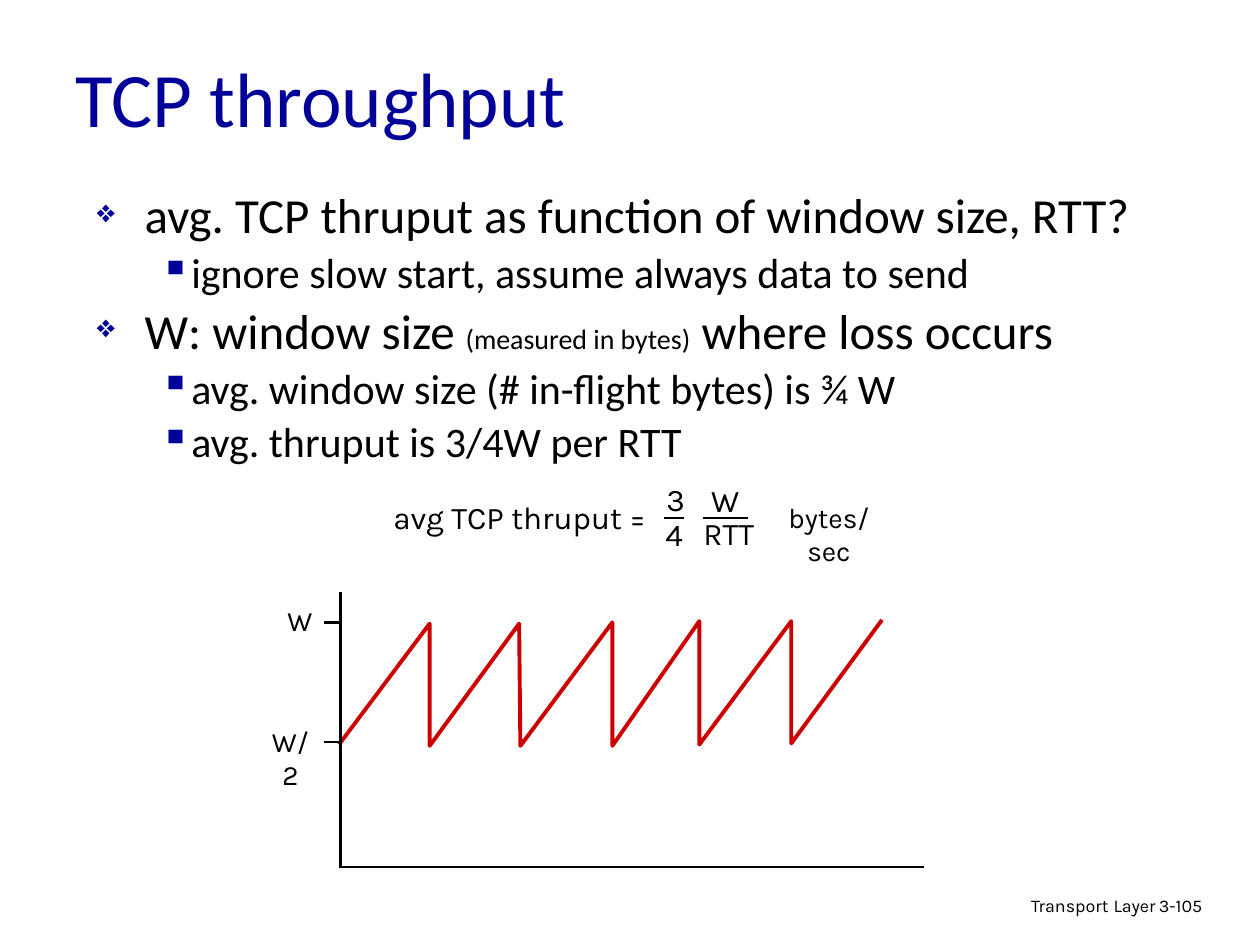
from lxml.etree import SubElement
from pptx import Presentation
from pptx.dml.color import RGBColor
from pptx.enum.shapes import MSO_CONNECTOR
from pptx.enum.text import MSO_ANCHOR, PP_ALIGN
from pptx.oxml.ns import qn
from pptx.util import Inches, Pt

COLORS = {"text": "000000", "accent": "000099", "curve": "CC0000"}


def add_text(left, top, width, height, runs, font="Karla", color="text",
             align=PP_ALIGN.CENTER, wrap=False):
    """Add a text box holding one paragraph of (text, size) runs."""
    box = page.shapes.add_textbox(Inches(left), Inches(top), Inches(width), Inches(height))
    box.text_frame.word_wrap = wrap
    para = box.text_frame.paragraphs[0]
    para.alignment = align
    add_runs(para, runs, font, color)
    return box


def add_runs(para, runs, font, color):
    for text, size in runs:
        span = para.add_run()
        span.text = text
        span.font.name = font
        span.font.size = Pt(size)
        span.font.color.rgb = RGBColor.from_string(COLORS[color])


deck = Presentation()
deck.slide_width, deck.slide_height = Inches(10), Inches(7.5)
page = deck.slides.add_slide(deck.slide_layouts[6])

# Footer and page number
footer = add_text(6.1, 7.05, 3.17, 0.31, [("Transport", 10.2), (" ", 11.9), ("Layer", 10.2)],
                  align=PP_ALIGN.RIGHT, wrap=True)
number = add_text(9.1, 7.07, 0.74, 0.3, [("3-105", 10.2)], align=PP_ALIGN.LEFT, wrap=True)
for box in (footer, number):
    box.text_frame.paragraphs[0].line_spacing = 0.9

# Title
title = add_text(0.5, 0.26, 8.5, 1.02, [("TCP throughput", 44)], "Calibri", "accent",
                 PP_ALIGN.LEFT, True)
title.text_frame.vertical_anchor = MSO_ANCHOR.MIDDLE

# Bulleted body: level, runs
body = page.shapes.add_textbox(Inches(0.67), Inches(1.49), Inches(9.04), Inches(5.08))
body.text_frame.word_wrap = True
points = [
    (0, [("avg. TCP thruput as function of window size, RTT?", 28)]),
    (1, [("ignore slow start, assume always data to send", 24)]),
    (0, [("W: window size ", 28), ("(measured in bytes)", 16), (" where loss occurs", 28)]),
    (1, [("avg. window size (# in-flight bytes) is ¾ W", 24)]),
    (1, [("avg. thruput is 3/4W per RTT", 24)]),
]
# Per level: bullet, bullet size, left margin, hanging indent, space before
levels = [("❖", "65%", 0.38, -0.38, 7), ("▪", "100%", 0.75, -0.25, 6)]
for index, (level, runs) in enumerate(points):
    para = body.text_frame.add_paragraph() if index else body.text_frame.paragraphs[0]
    bullet, bullet_size, margin, indent, before = levels[level]
    para.level = level
    props = para._p.get_or_add_pPr()
    props.set("marL", str(Inches(margin)))
    props.set("indent", str(Inches(indent)))
    bullet_color = SubElement(props, qn("a:buClr"))
    SubElement(bullet_color, qn("a:srgbClr"), val=COLORS["accent"])
    SubElement(props, qn("a:buSzPct"), val=str(int(bullet_size[:-1]) * 1000))
    SubElement(props, qn("a:buChar"), char=bullet)
    para.line_spacing = 0.85
    para.space_before = Pt(before if index else 0)
    add_runs(para, runs, "Calibri", "text")

# Sawtooth of the window size
teeth = [(2.69, 5.91), (3.41, 4.95), (3.41, 5.92), (4.12, 4.95), (4.13, 5.92), (4.86, 4.94),
         (4.86, 5.92), (5.55, 4.93), (5.55, 5.91), (6.28, 4.93), (6.28, 5.9), (7, 4.92)]
corners = [(Inches(x), Inches(y)) for x, y in teeth]
builder = page.shapes.build_freeform(*corners[0])
builder.add_line_segments(corners[1:], close=False)
sawtooth = builder.convert_to_shape()
sawtooth.shadow.inherit = False
sawtooth.fill.background()
sawtooth.line.color.rgb = RGBColor.from_string(COLORS["curve"])
sawtooth.line.width = Pt(2.25)

# Axes, ticks and fraction bars
rules = [
    (2.69, 6.88, 7.33, 6.88),
    (2.7, 4.7, 2.7, 6.89),
    (2.57, 4.94, 2.69, 4.94),
    (2.57, 5.89, 2.69, 5.89),
    (5.27, 4.11, 5.43, 4.11),
    (5.58, 4.11, 5.94, 4.11),
]
for ends in rules:
    rule = page.shapes.add_connector(MSO_CONNECTOR.STRAIGHT, *[Inches(end) for end in ends])
    rule.line.color.rgb = RGBColor.from_string(COLORS["text"])
    rule.line.width = Pt(1.5)
    SubElement(rule._element.spPr, qn("a:effectLst"))

# Axis labels and formula parts: left, top, width, height, text, size, wrap
labels = [
    (2.18, 4.74, 0.4, 0.37, "W", 16, False),
    (2.03, 5.7, 0.55, 0.37, "W/2", 16, True),
    (2.97, 3.9, 2.37, 0.4, "avg TCP thruput = ", 18, False),
    (5.19, 3.76, 0.34, 0.4, "3", 18, False),
    (5.18, 4.04, 0.34, 0.4, "4", 18, False),
    (5.54, 3.77, 0.43, 0.4, "W", 18, False),
    (5.47, 4.03, 0.63, 0.4, "RTT", 18, False),
    (6.08, 3.92, 1, 0.37, "bytes/sec", 16, True),
]
for left, top, width, height, text, size, wrap in labels:
    add_text(left, top, width, height, [(text, size)], wrap=wrap)

deck.save("out.pptx")
